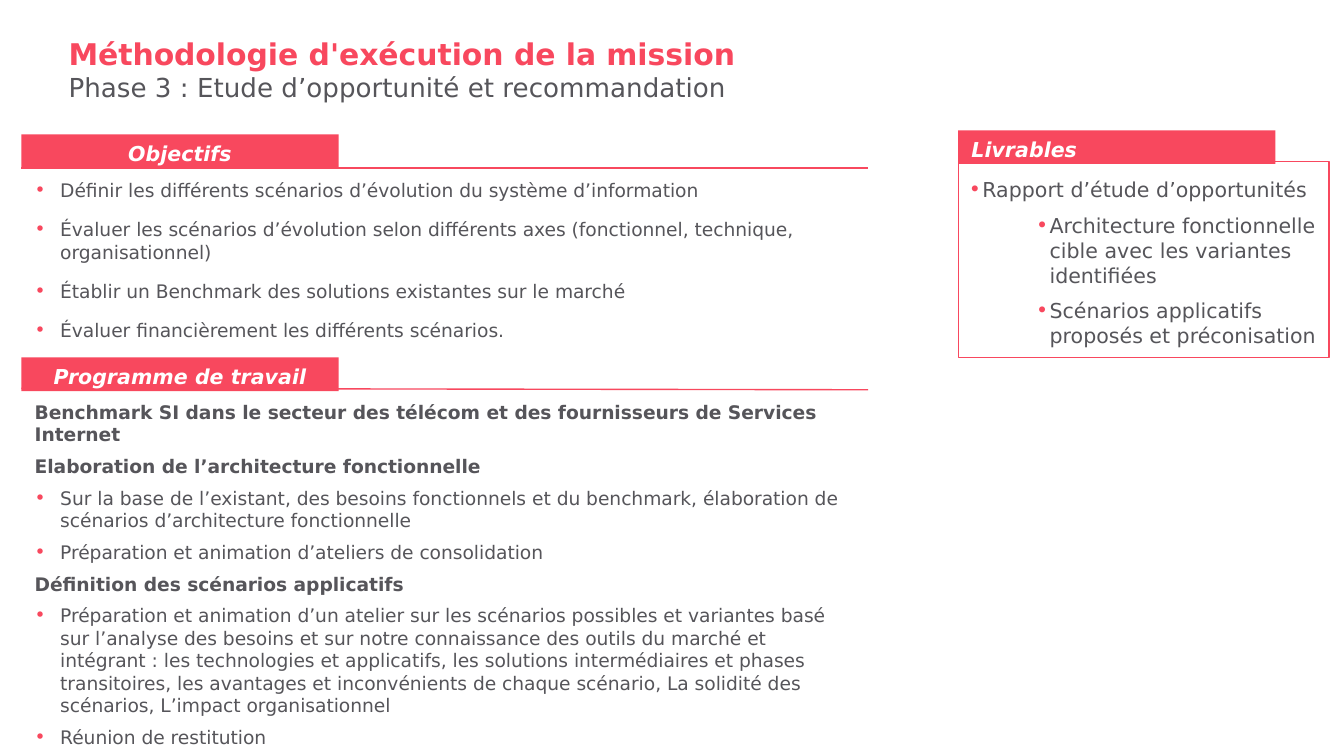
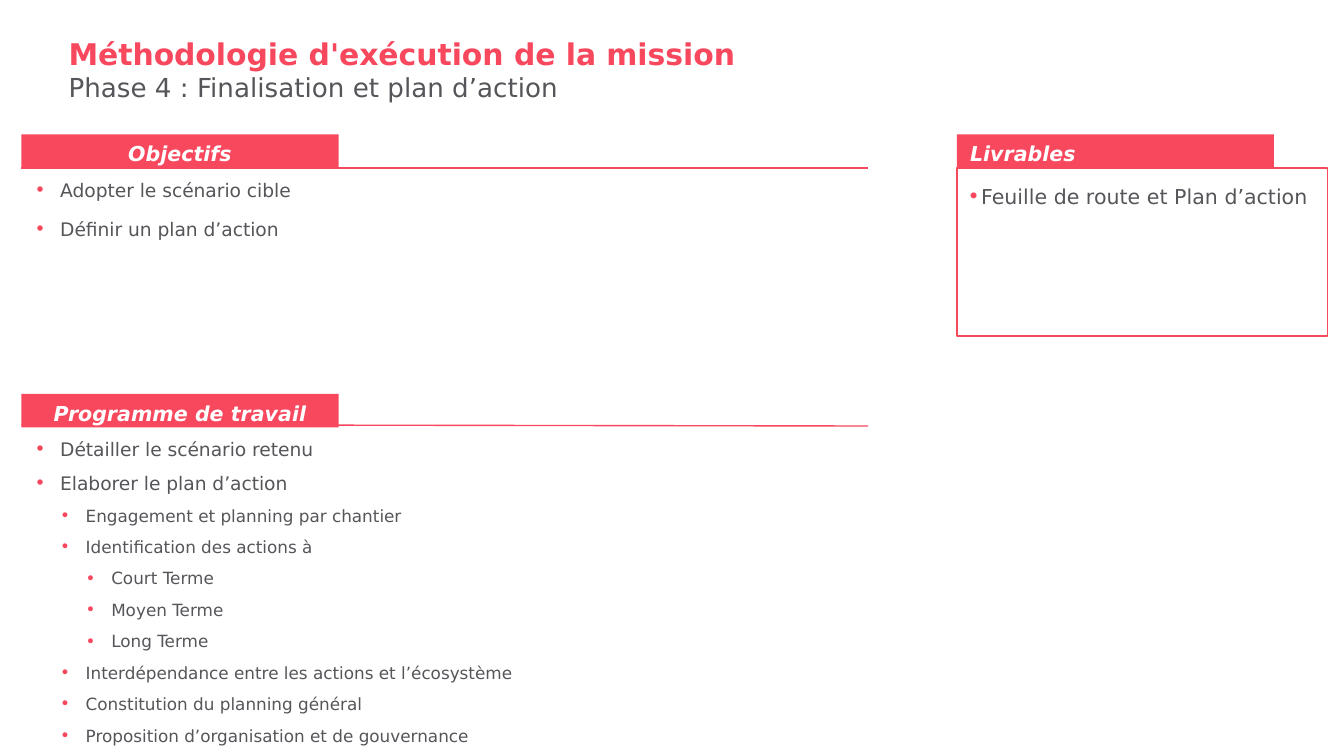
"""Build two mission method slides: goals, work plan and deliverables for phases 3 and 4."""
import pptx
import pptx.util
import pptx.dml.color
import pptx.enum.shapes
import pptx.enum.text
import pptx.oxml.ns
import lxml.etree

PX = 9144
RED, GREY, WHITE = "F8485E", "56555A", "FFFFFF"
FONT = "DejaVu Sans"
LEFT, WIDE, BAR_W, BAR_H = 16, 630, 236, 25
ANCHOR = pptx.enum.text.MSO_ANCHOR
ALIGN = pptx.enum.text.PP_ALIGN
HEAD = -1

phases = [
    {
        "name": "Phase 3 : Etude d’opportunité et recommandation",
        "goals": [
            "Définir les différents scénarios d’évolution du système d’information",
            "Évaluer les scénarios d’évolution selon différents axes (fonctionnel, technique, organisationnel)",
            "Établir un Benchmark des solutions existantes sur le marché",
            "Évaluer financièrement les différents scénarios.",
        ],
        "plan": (266, 293, 2),
        "tasks": [
            (HEAD, "Benchmark SI dans le secteur des télécom et des fournisseurs de Services Internet"),
            (HEAD, "Elaboration de l’architecture fonctionnelle"),
            (0, "Sur la base de l’existant, des besoins fonctionnels et du benchmark, "
                "élaboration de scénarios d’architecture fonctionnelle"),
            (0, "Préparation et animation d’ateliers de consolidation"),
            (HEAD, "Définition des scénarios applicatifs"),
            (0, "Préparation et animation d’un atelier sur les scénarios possibles et variantes basé "
                "sur l’analyse des besoins et sur notre connaissance des outils du marché et "
                "intégrant : les technologies et applicatifs, les solutions intermédiaires et phases "
                "transitoires, les avantages et inconvénients de chaque scénario, La solidité des "
                "scénarios, L’impact organisationnel"),
            (0, "Réunion de restitution"),
        ],
        "box": (713, 97, 120, 146),
        "results": [
            (2, "Rapport d’étude d’opportunités"),
            (3, "Architecture fonctionnelle cible avec les variantes identifiées"),
            (3, "Scénarios applicatifs proposés et préconisation"),
        ],
    },
    {
        "name": "Phase 4 : Finalisation et plan d’action",
        "goals": ["Adopter le scénario cible", "Définir un plan d’action"],
        "plan": (293, 321, 3),
        "tasks": [
            (0, "Détailler le scénario retenu"),
            (0, "Elaborer le plan d’action"),
            (1, "Engagement et planning par chantier"),
            (1, "Identification des actions à"),
            (2, "Court Terme"),
            (2, "Moyen Terme"),
            (2, "Long Terme"),
            (1, "Interdépendance entre les actions et l’écosystème"),
            (1, "Constitution du planning général"),
            (1, "Proposition d’organisation et de gouvernance"),
        ],
        "box": (712, 100, 125, 125),
        "results": [(2, "Feuille de route et Plan d’action")],
    },
]


def rgb(code):
    return pptx.dml.color.RGBColor.from_string(code)


def block(slide, area, rows, fill=None, line=None, inset=(10, 5, 10, 5), anchor=ANCHOR.TOP):
    place = [n * PX for n in area]
    if fill or line:
        shape = slide.shapes.add_shape(pptx.enum.shapes.MSO_SHAPE.RECTANGLE, *place)
        shape.shadow.inherit = False
        shape.fill.background()
        shape.line.fill.background()
    else:
        shape = slide.shapes.add_textbox(*place)
    if fill:
        shape.fill.solid()
        shape.fill.fore_color.rgb = rgb(fill)
    if line:
        shape.line.color.rgb = rgb(line)
        shape.line.width = pptx.util.Pt(0.75)
    frame = shape.text_frame
    frame.word_wrap = True
    frame.vertical_anchor = anchor
    frame.margin_left, frame.margin_top, frame.margin_right, frame.margin_bottom = [n * PX for n in inset]
    frame.text = "\n".join(row["text"] for row in rows)
    for para, row in zip(frame.paragraphs, rows):
        para.alignment = row.get("align", ALIGN.LEFT)
        para.level = row.get("level", 0)
        para.line_spacing = row.get("lines", 1.0)
        before, after = row.get("gaps", (0, 0))
        para.space_before, para.space_after = pptx.util.Pt(before), pptx.util.Pt(after)
        if "indent" in row:
            margin, hang = row["indent"]
            props = para._p.get_or_add_pPr()
            props.set("marL", str(margin * PX))
            props.set("indent", str(-hang * PX))
            tint = lxml.etree.SubElement(props, pptx.oxml.ns.qn("a:buClr"))
            lxml.etree.SubElement(tint, pptx.oxml.ns.qn("a:srgbClr")).set("val", RED)
            lxml.etree.SubElement(props, pptx.oxml.ns.qn("a:buFont")).set("typeface", FONT)
            lxml.etree.SubElement(props, pptx.oxml.ns.qn("a:buChar")).set("char", "•")
        for run in para.runs:
            run.font.name = FONT
            run.font.size = pptx.util.Pt(row["size"])
            run.font.color.rgb = rgb(row.get("color", GREY))
            run.font.bold = row.get("bold", False)
            run.font.italic = row.get("slant", False)


deck = pptx.Presentation()
deck.slide_width = 1000 * PX
deck.slide_height = deck.slide_width * 9 // 16

for phase in phases:
    slide = deck.slides.add_slide(deck.slide_layouts[6])
    title = {"text": "Méthodologie d'exécution de la mission", "size": 16, "color": RED, "bold": True}
    block(slide, (51, 0, 898, 53), [title], inset=(0, 0, 0, 0), anchor=ANCHOR.BOTTOM)
    block(slide, (51, 53, 898, 51), [{"text": phase["name"], "size": 14}], inset=(0, 0, 0, 0))

    plan, panel, lead = phase["plan"]
    side, tab, top, high = phase["box"]

    results = [{"text": text, "size": 11, "level": level, "gaps": (3, 3),
                "indent": (10 + 50 * (level - 2), 10)} for level, text in phase["results"]]
    block(slide, (side, top, 276, high), results, line=RED, inset=(8, 12, 4, 4))

    for start, end in [(125, 125), (plan + 23, plan + 24)]:
        rule = slide.shapes.add_connector(pptx.enum.shapes.MSO_CONNECTOR.STRAIGHT,
                                          LEFT * PX, start * PX, (LEFT + WIDE) * PX, end * PX)
        rule.line.color.rgb = rgb(RED)
        rule.line.width = pptx.util.Pt(0.75)
        lxml.etree.SubElement(rule._element.spPr, pptx.oxml.ns.qn("a:effectLst"))

    for x, y, label, align in [(LEFT, 100, "Objectifs", ALIGN.CENTER),
                               (LEFT, plan, "Programme de travail", ALIGN.CENTER),
                               (side, tab, "Livrables", ALIGN.LEFT)]:
        head = {"text": label, "size": 11, "color": WHITE, "bold": True, "slant": True,
                "align": align, "lines": 1.2}
        block(slide, (x, y, BAR_W, BAR_H), [head], fill=RED, anchor=ANCHOR.MIDDLE)

    goals = [{"text": text, "size": 10, "gaps": (3, 6), "indent": (19, 19)} for text in phase["goals"]]
    block(slide, (LEFT, 128, WIDE, 165), goals)

    tasks = []
    for level, text in phase["tasks"]:
        row = {"text": text, "size": 9 if level > 0 else 10, "gaps": (lead, 3), "bold": level == HEAD}
        if level != HEAD:
            row.update(level=level, indent=(19 * (level + 1), 19))
        tasks.append(row)
    block(slide, (LEFT, panel, WIDE, 242), tasks, fill=WHITE)

deck.save("out.pptx")
